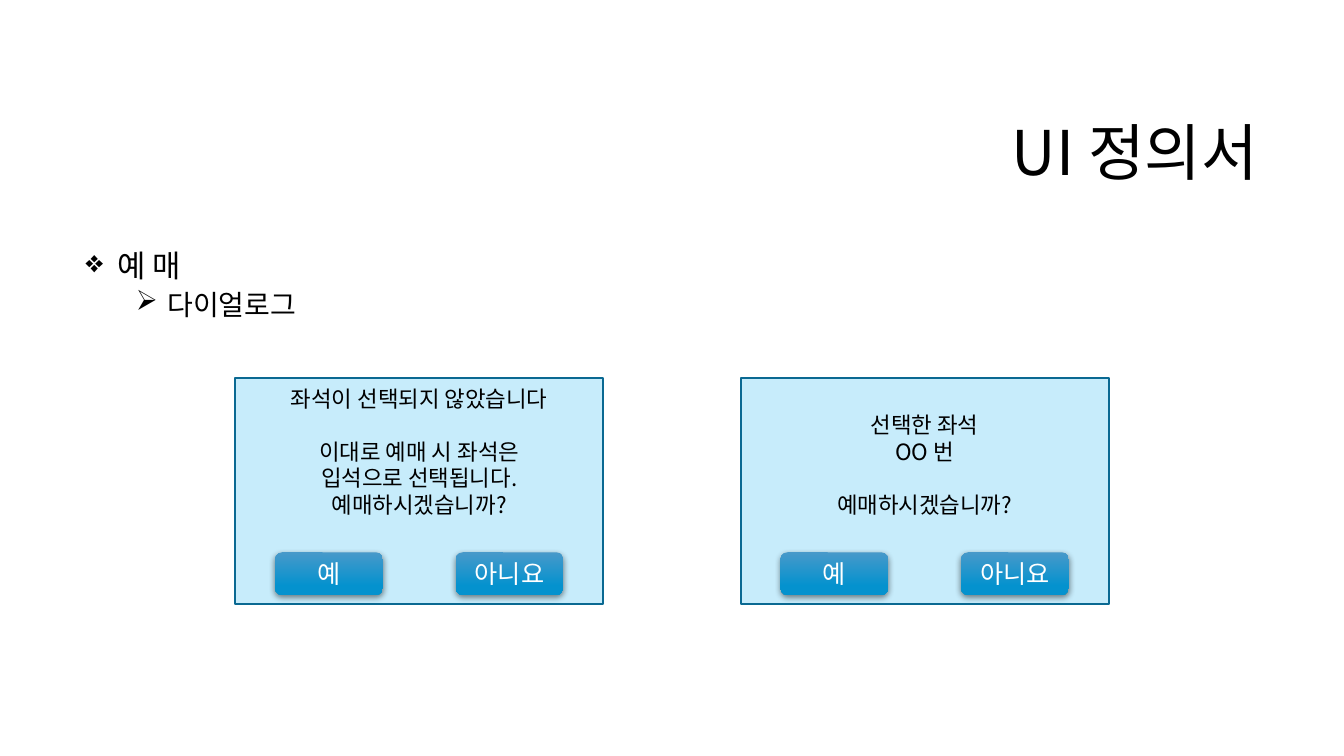
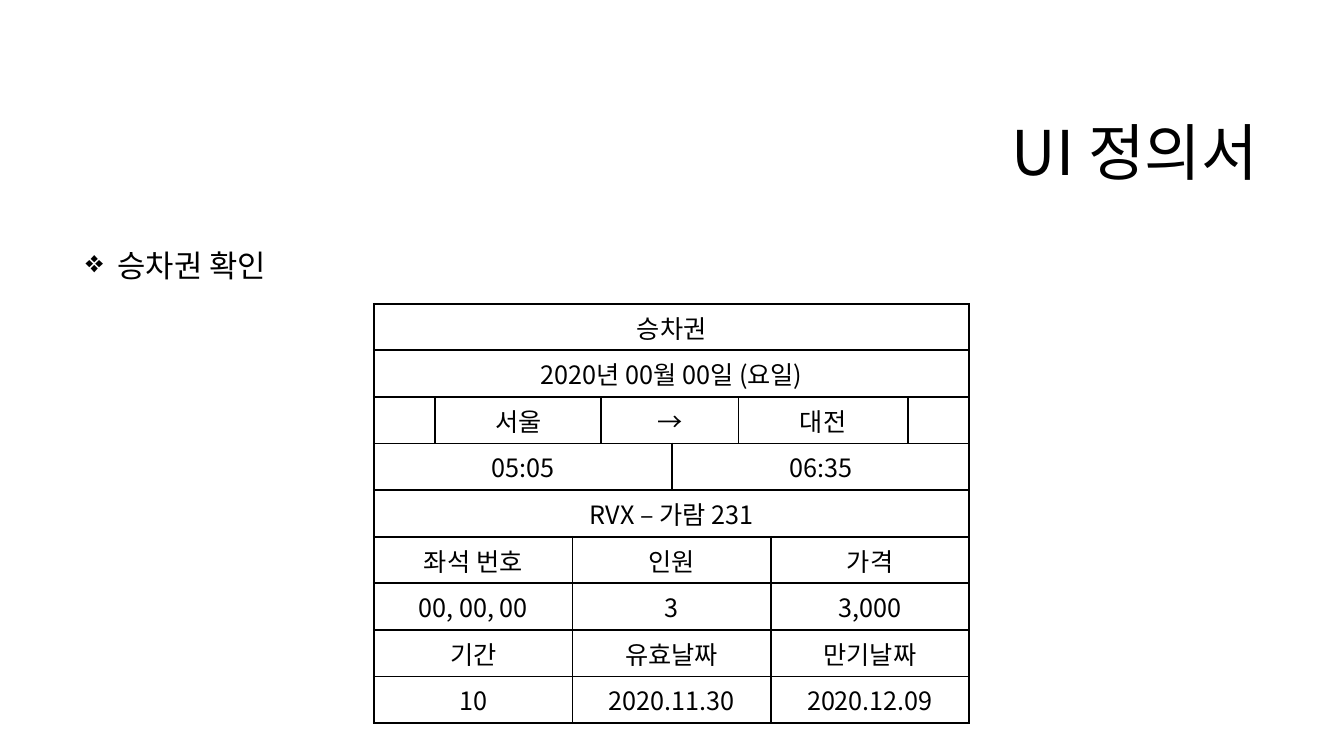
from lxml import etree
from pptx import Presentation
from pptx.dml.color import RGBColor
from pptx.enum.shapes import MSO_SHAPE
from pptx.enum.text import MSO_ANCHOR, PP_ALIGN
from pptx.oxml.ns import qn
from pptx.util import Pt

RECT, ROUNDED = MSO_SHAPE.RECTANGLE, MSO_SHAPE.ROUNDED_RECTANGLE
TOP, MIDDLE = MSO_ANCHOR.TOP, MSO_ANCHOR.MIDDLE
LEFT, CENTER, RIGHT = PP_ALIGN.LEFT, PP_ALIGN.CENTER, PP_ALIGN.RIGHT

FONT = "Noto Sans CJK KR"
COLORS = {
    "text": "000000", "white": "FFFFFF",
    "dialog": "C7ECFB", "dialog_line": "0A6992",
    "button_top": "4899CA", "button_bottom": "0492CE",
}


def rgb(name):
    return RGBColor.from_string(COLORS[name])


def sub(parent, tag, **attrs):
    """Append a drawing element with the given attributes."""
    el = etree.SubElement(parent, qn(tag))
    for key, value in attrs.items():
        el.set(key, str(value))
    return el


def add_text(tf, text, size=18, color="text", align=CENTER, spacing=None,
             before=0, bullet=None, indent=0, hang=0):
    """Write one paragraph, using the empty first one if there is one."""
    first = tf.paragraphs[0]
    p = tf.add_paragraph() if first.runs else first
    p.alignment = align
    if spacing:
        p.line_spacing = spacing
    p.space_before = Pt(before)
    if bullet:
        pPr = p._p.get_or_add_pPr()
        pPr.set("marL", str(Pt(indent)))
        pPr.set("indent", str(-Pt(hang)))
        sub(pPr, "a:buChar", char=bullet)
    r = p.add_run()
    r.text = text
    r.font.size = Pt(size)
    r.font.name = FONT
    r.font.color.rgb = rgb(color)
    sub(r._r.get_or_add_rPr(), "a:ea", typeface=FONT)


class Deck:
    def __init__(self):
        self.prs = Presentation()
        self.prs.slide_width, self.prs.slide_height = Pt(960), Pt(540)
        self.slide = None

    def new_slide(self, title, topic, detail=None):
        self.slide = self.prs.slides.add_slide(self.prs.slide_layouts[6])
        tf = self.text_box(228, 60.5, 678, 101.5, MIDDLE)
        add_text(tf, title, size=44, align=RIGHT, spacing=0.9)
        tf = self.text_box(54, 173, 852, 317, TOP)
        add_text(tf, topic, size=22, align=LEFT, spacing=Pt(26),
                 bullet="❖", indent=23, hang=23)
        if detail:
            add_text(tf, detail, size=20, align=LEFT, spacing=Pt(21.5),
                     before=5, bullet="➢", indent=58.5, hang=22.5)

    def text_box(self, x, y, w, h, anchor):
        tf = self.slide.shapes.add_textbox(Pt(x), Pt(y), Pt(w), Pt(h)).text_frame
        tf.word_wrap = True
        tf.vertical_anchor = anchor
        return tf

    def shape(self, kind, x, y, w, h, anchor):
        sp = self.slide.shapes.add_shape(kind, Pt(x), Pt(y), Pt(w), Pt(h))
        sp.shadow.inherit = False
        sp.text_frame.word_wrap = True
        sp.text_frame.vertical_anchor = anchor
        return sp

    def button(self, x, y, label):
        sp = self.shape(ROUNDED, x, y, 77, 30.5, MIDDLE)
        sp.line.fill.background()
        sp.fill.gradient()
        sp.fill.gradient_angle = 270
        stops = ((0, "button_top"), (0.78, "button_bottom"))
        for stop, (position, color) in zip(sp.fill.gradient_stops, stops):
            stop.position = position
            stop.color.rgb = rgb(color)
        effects = sp._element.spPr.find(qn("a:effectLst"))
        shadow = sub(effects, "a:outerShdw", blurRad=Pt(4.5), dist=Pt(1.5),
                     dir=5400000, algn="ctr", rotWithShape=0)
        sub(sub(shadow, "a:srgbClr", val=COLORS["text"]), "a:alpha", val=48000)
        add_text(sp.text_frame, label, color="white")

    def dialog(self, x, y, lines, skip=0):
        """Lines are (text, blank lines before); skip drops the whole text."""
        line_height = 19
        sp = self.shape(RECT, x, y, 263, 161.5, TOP)
        sp.fill.solid()
        sp.fill.fore_color.rgb = rgb("dialog")
        sp.line.color.rgb = rgb("dialog_line")
        sp.line.width = Pt(1.5)
        sp.text_frame.margin_top = Pt(5 + skip * line_height)
        for text, gap in lines:
            add_text(sp.text_frame, text, size=16, spacing=Pt(line_height),
                     before=gap * line_height)
        for dx, label in ((28.5, "예"), (157.5, "아니요")):
            self.button(x + dx, y + 124.5, label)

    def table(self, x, y, widths, row_height, rows):
        """Each row lists (text, columns spanned)."""
        shape = self.slide.shapes.add_table(
            len(rows), len(widths), Pt(x), Pt(y),
            Pt(sum(widths)), Pt(row_height * len(rows)))
        table = shape.table
        table.first_row = table.horz_banding = False
        for column, width in zip(table.columns, widths):
            column.width = Pt(width)
        for i, row in enumerate(rows):
            table.rows[i].height = Pt(row_height)
            for j in range(len(widths)):
                self.style_cell(table.cell(i, j))
            start = 0
            for text, span in row:
                cell = table.cell(i, start)
                if span > 1:
                    cell.merge(table.cell(i, start + span - 1))
                if text:
                    add_text(cell.text_frame, text)
                start += span

    def style_cell(self, cell):
        cell.vertical_anchor = MIDDLE
        tcPr = cell._tc.get_or_add_tcPr()
        for side in ("a:lnL", "a:lnR", "a:lnT", "a:lnB"):
            ln = sub(tcPr, side, w=Pt(1.5))
            sub(sub(ln, "a:solidFill"), "a:srgbClr", val=COLORS["text"])
        cell.fill.solid()
        cell.fill.fore_color.rgb = rgb("white")


def main():
    deck = Deck()
    title = "UI 정의서"

    # Booking dialogs
    deck.new_slide(title, "예 매", "다이얼로그")
    deck.dialog(168, 270, [
        ("좌석이 선택되지 않았습니다", 0),
        ("이대로 예매 시 좌석은", 1),
        ("입석으로 선택됩니다.", 0),
        ("예매하시겠습니까?", 0)])
    deck.dialog(529, 270, [
        ("선택한 좌석", 0),
        ("OO 번", 0),
        ("예매하시겠습니까?", 1)], skip=1)

    # Ticket: full rows span 8 columns, halves 4 + 4, thirds 2 + 4 + 2
    def thirds(*texts):
        return list(zip(texts, (2, 4, 2)))

    deck.new_slide(title, "승차권 확인")
    deck.table(267, 217, (44, 98, 20.5, 50.5, 47.5, 23, 98, 44), 33.3, [
        [("승차권", 8)],
        [("2020년 00월 00일 (요일)", 8)],
        [("", 1), ("서울", 2), ("→", 2), ("대전", 2), ("", 1)],
        [("05:05", 4), ("06:35", 4)],
        [("RVX – 가람 231", 8)],
        thirds("좌석 번호", "인원", "가격"),
        thirds("00, 00, 00", "3", "3,000"),
        thirds("기간", "유효날짜", "만기날짜"),
        thirds("10", "2020.11.30", "2020.12.09")])

    deck.prs.save("out.pptx")


if __name__ == "__main__":
    main()
